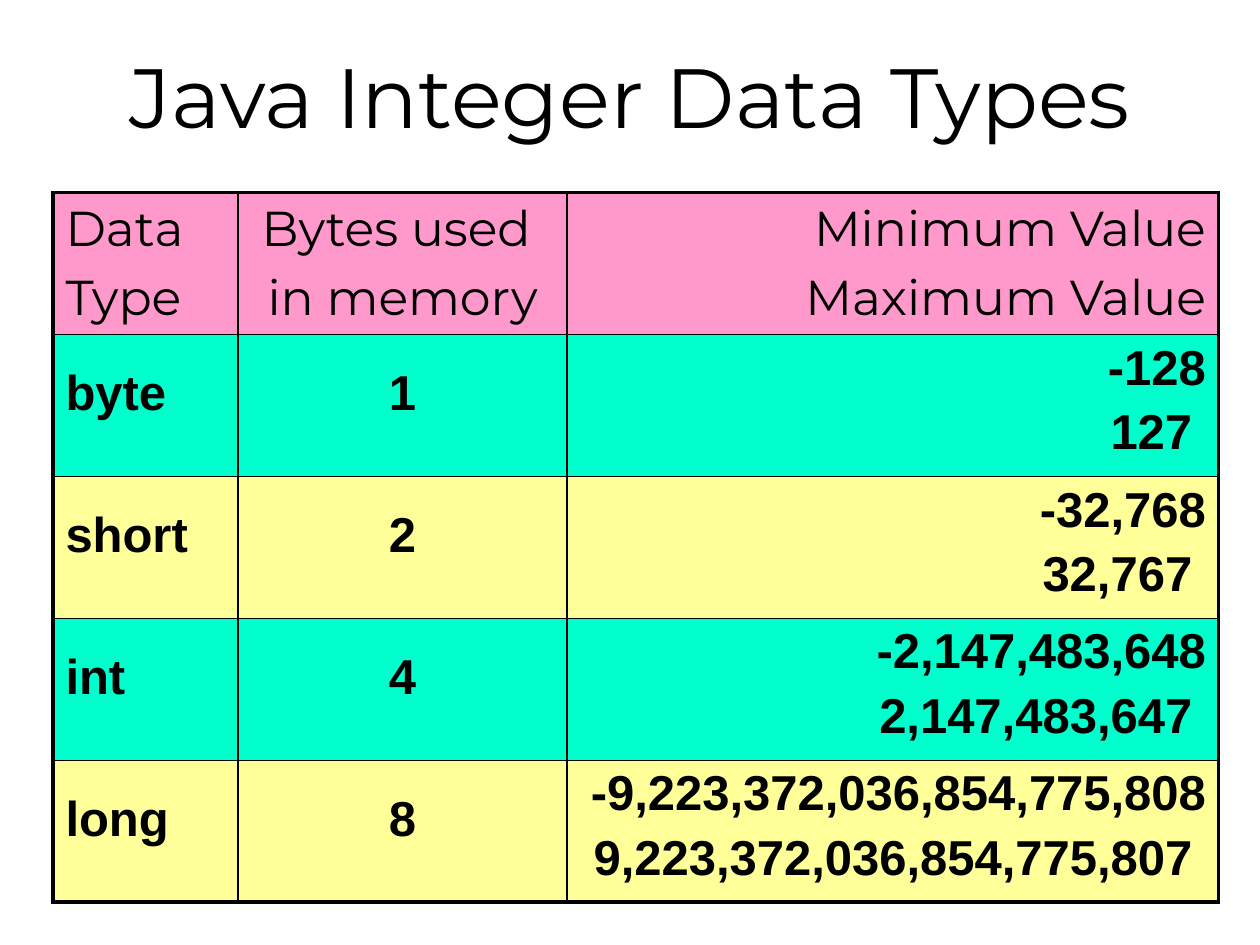
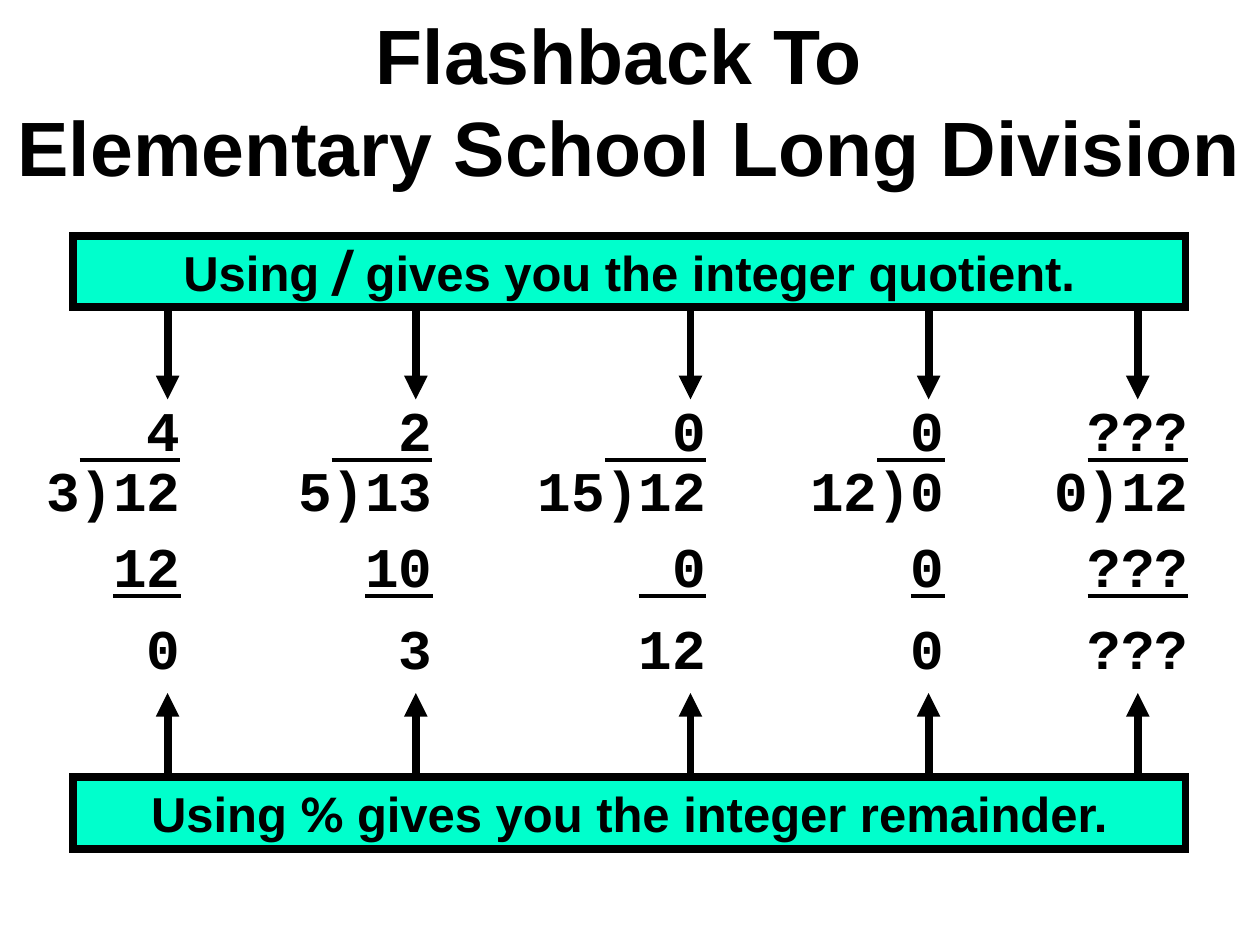
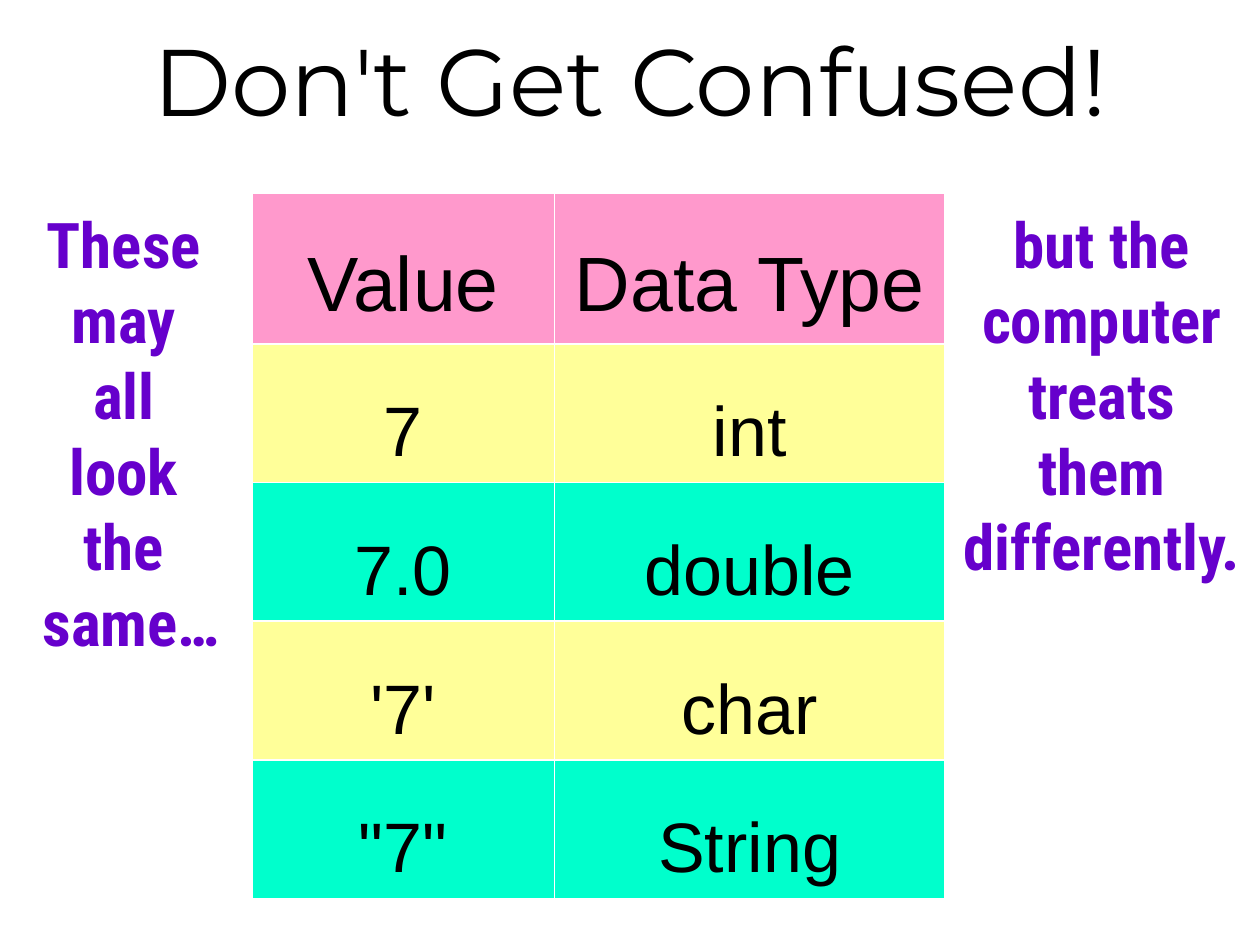
"""Build three slides on Java integer types, division and literals."""
from dataclasses import dataclass

from lxml.etree import SubElement
from pptx import Presentation
from pptx.dml.color import RGBColor
from pptx.enum.shapes import MSO_CONNECTOR, MSO_SHAPE
from pptx.enum.text import MSO_ANCHOR, MSO_AUTO_SIZE, PP_ALIGN
from pptx.oxml.ns import qn
from pptx.util import Inches, Pt


@dataclass(frozen=True)
class Theme:
    black: str = "000000"
    white: str = "FFFFFF"
    pink: str = "FF99CC"
    mint: str = "00FFCC"
    lemon: str = "FFFF99"
    purple: str = "6600CC"
    sans: str = "Arial"
    display: str = "Montserrat"
    mono: str = "Courier New"
    narrow: str = "Roboto Condensed"
    body: int = 28
    sums: int = 32
    aside: int = 36
    cell: int = 40
    head: int = 44
    title: int = 48
    big: int = 54
    thick: float = 4.5
    edge: float = 2.25
    thin: float = 1


T = Theme()
LEFT, MID, RIGHT = PP_ALIGN.LEFT, PP_ALIGN.CENTER, PP_ALIGN.RIGHT

TYPES = [
    (["Data", "Type"], ["Bytes used ", "in memory"], ["Minimum Value", "Maximum Value"]),
    (["byte"], ["1"], ["-128", "127 "]),
    (["short"], ["2"], ["-32,768", "32,767 "]),
    (["int"], ["4"], ["-2,147,483,648", "2,147,483,647 "]),
    (["long"], ["8"], ["-9,223,372,036,854,775,808", "9,223,372,036,854,775,807 "]),
]
VALUES = [("Value", "Data Type"), ("7", "int"), ("7.0", "double"),
          ("'7'", "char"), ('"7"', "String")]
SUMS = [
    (0, 1.33, 5, ("  4", "3)12", "12", "0")),
    (2, 3.3, 5, ("  2", "5)13", "10", "3")),
    (4.17, 5.48, 5, ("  0", "15)12", " 0", "12")),
    (6.33, 7.37, 4, (" 0", "12)0", "0", "0")),
    (8, 9.03, 5, ("???", "0)12", "???", "???")),
]
STEPS = [(0.8, 5, True), (0.4, 16, False), (0.8, 16, True), (0.8, 16, False)]
BANDS = [
    (1.87, 2.17, 3.17, ("Using ", "/", " gives you the integer quotient.")),
    (6.17, 6.58, 5.5, ("Using ", "%", " gives you the integer remainder.")),
]
ASIDES = [
    (0.08, 1.92, ["These ", "may ", "all ", "look ", "the ", "same…"]),
    (7.58, 2.33, ["but the", "computer", "treats", "them", "differently."]),
]


def rgb(code):
    return RGBColor.from_string(code)


def style(part, font, size, bold=False, color=T.black):
    for run in part.runs:
        run.font.name, run.font.size = font, Pt(size)
        run.font.bold = bold
        run.font.color.rgb = rgb(color)


def new_slide(deck, text, top, height, font, size, bold=False):
    slide = deck.slides.add_slide(deck.slide_layouts[5])
    title = slide.shapes.title
    title.left, title.top = Inches(0), Inches(top)
    title.width, title.height = Inches(10), Inches(height)
    frame = title.text_frame
    frame.text = text
    frame.auto_size = MSO_AUTO_SIZE.NONE
    frame.vertical_anchor = MSO_ANCHOR.MIDDLE
    frame.paragraphs[0].alignment = MID
    style(frame.paragraphs[0], font, size, bold)
    return slide


def add_box(slide, left, top, width, height, wrap):
    box = slide.shapes.add_textbox(*map(Inches, (left, top, width, height)))
    box.text_frame.word_wrap = wrap
    return box.text_frame


def add_grid(slide, left, top, cols, rows):
    size = (left, top, sum(cols), sum(rows))
    grid = slide.shapes.add_table(len(rows), len(cols), *map(Inches, size)).table
    for col, width in zip(grid.columns, cols):
        col.width = Inches(width)
    for row, height in zip(grid.rows, rows):
        row.height = Inches(height)
    return grid


def paint(cell, fill, color, widths):
    cell.fill.solid()
    cell.fill.fore_color.rgb = rgb(fill)
    props = cell._tc.get_or_add_tcPr()
    for spot, (side, width) in enumerate(zip("LRTB", widths)):
        line = SubElement(props, qn(f"a:ln{side}"), w=str(Pt(width)))
        SubElement(SubElement(line, qn("a:solidFill")), qn("a:srgbClr"), val=color)
        props.insert(spot, line)


def add_arrow(slide, x, start, end):
    line = slide.shapes.add_connector(
        MSO_CONNECTOR.STRAIGHT, *map(Inches, (x, start, x, end)))
    line.line.color.rgb = rgb(T.black)
    line.line.width = Pt(T.thick)
    SubElement(line.line._get_or_add_ln(), qn("a:tailEnd"), type="triangle")
    SubElement(line._element.spPr, qn("a:effectLst"))


def types_slide(deck):
    slide = new_slide(deck, "Java Integer Data Types", 0, 1.5, T.display, T.title)
    grid = add_grid(slide, 0.42, 1.53, (1.47, 2.61, 5.17), [5.63 / 5] * 5)
    for r, row in enumerate(TYPES):
        fill = T.pink if r == 0 else (T.lemon, T.mint)[r % 2]
        for c, lines in enumerate(row):
            cell = grid.cell(r, c)
            outer = (c == 0, c == 2, r == 0, r == 4)
            paint(cell, fill, T.black, [T.edge if out else T.thin for out in outer])
            cell.text_frame.text = "\n".join(lines)
            if len(lines) == 1:
                cell.margin_top = Inches(0.25)
            for n, para in enumerate(cell.text_frame.paragraphs):
                para.alignment = (LEFT, MID, RIGHT)[c]
                para.space_before = Pt(5.5 * n)
                style(para, T.sans if r else T.display, T.body, r > 0)


def division_slide(deck):
    slide = new_slide(deck, "Flashback To \vElementary School Long Division",
                      0.08, 1.42, T.sans, T.head, True)
    for _, start, end, _ in BANDS:
        for _, x, _, _ in SUMS:
            add_arrow(slide, x, start, end)
    for top, _, _, words in BANDS:
        band = slide.shapes.add_shape(
            MSO_SHAPE.RECTANGLE, *map(Inches, (0.58, top, 8.83, 0.57)))
        band.shadow.inherit = False
        band.fill.solid()
        band.fill.fore_color.rgb = rgb(T.mint)
        band.line.color.rgb = rgb(T.black)
        band.line.width = Pt(T.thick)
        SubElement(band.line._get_or_add_ln(), qn("a:miter"), lim="800000")
        para = band.text_frame.paragraphs[0]
        para.alignment = MID
        for word in words:
            para.add_run().text = word
        style(para, T.sans, T.body, True)
        para.runs[1].font.name = T.display
    for left, _, chars, lines in SUMS:
        frame = add_box(slide, left, 3.19, 1.67, 2.4, True)
        frame.margin_right = Inches(1.57 - chars * T.sums * 0.6 / 72)
        frame.text = "\n".join(lines)
        for para, (pitch, gap, under) in zip(frame.paragraphs, STEPS):
            para.alignment = RIGHT
            para.line_spacing, para.space_before = pitch, Pt(gap)
            style(para, T.mono, T.sums, True)
            para.runs[0].font.underline = under


def values_slide(deck):
    slide = new_slide(deck, "Don't Get Confused!", 0, 1.25, T.display, T.big)
    grid = add_grid(slide, 2, 1.53, (2.4, 3.1), [1.2] + [1.1] * 4)
    for r, row in enumerate(VALUES):
        fill = T.pink if r == 0 else (T.mint, T.lemon)[r % 2]
        for c, text in enumerate(row):
            cell = grid.cell(r, c)
            paint(cell, fill, T.white, [T.thin] * 4)
            cell.vertical_anchor = MSO_ANCHOR.MIDDLE if r else MSO_ANCHOR.TOP
            cell.text_frame.text = text
            para = cell.text_frame.paragraphs[0]
            para.alignment, para.line_spacing = MID, 1.5
            style(para, T.sans, T.cell if r else T.head)
    for left, width, lines in ASIDES:
        frame = add_box(slide, left, 1.58, width, 5.5, False)
        frame.margin_left = frame.margin_right = Inches(0)
        frame.text = "\n".join(lines)
        for para in frame.paragraphs:
            para.alignment = MID
            style(para, T.narrow, T.aside, True, T.purple)


def main():
    deck = Presentation()
    deck.slide_width, deck.slide_height = Inches(10), Inches(7.5)
    types_slide(deck)
    division_slide(deck)
    values_slide(deck)
    deck.save("out.pptx")


if __name__ == "__main__":
    main()
